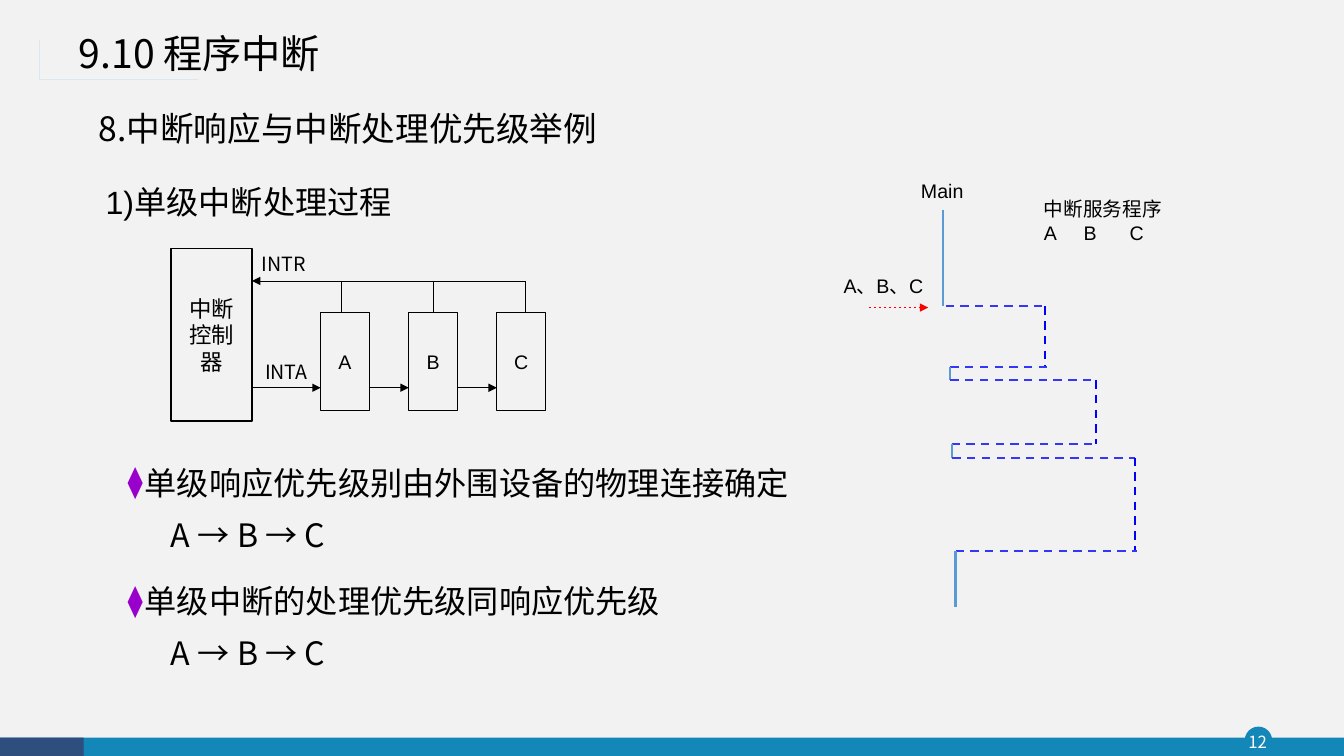
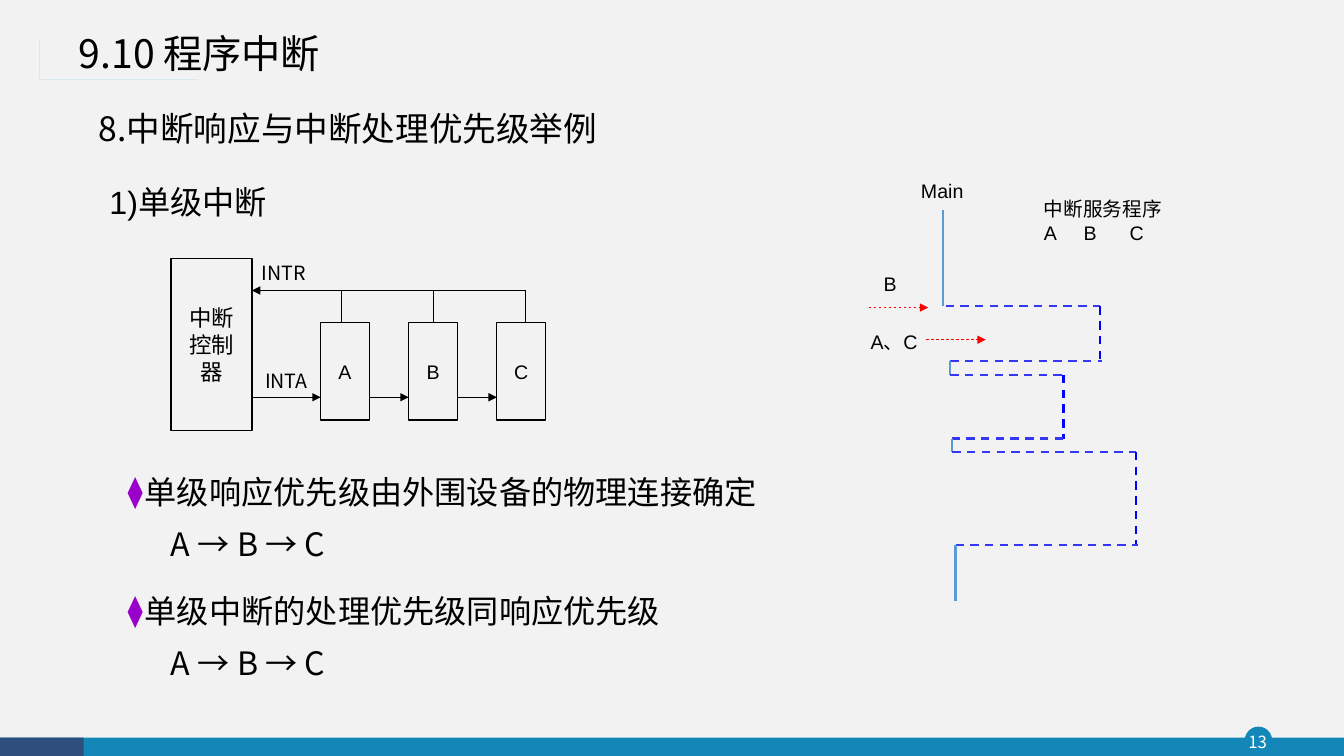
from dataclasses import dataclass

from lxml import etree
from pptx import Presentation
from pptx.dml.color import RGBColor
from pptx.enum.dml import MSO_LINE
from pptx.enum.shapes import MSO_CONNECTOR, MSO_SHAPE
from pptx.enum.text import MSO_ANCHOR, MSO_AUTO_SIZE, PP_ALIGN
from pptx.oxml.ns import qn
from pptx.util import Cm, Pt

STRAIGHT = MSO_CONNECTOR.STRAIGHT
RECTANGLE, OVAL = MSO_SHAPE.RECTANGLE, MSO_SHAPE.OVAL
DASH = MSO_LINE.DASH
LEFT, CENTER = PP_ALIGN.LEFT, PP_ALIGN.CENTER
TOP, MIDDLE = MSO_ANCHOR.TOP, MSO_ANCHOR.MIDDLE
NO_AUTOFIT = MSO_AUTO_SIZE.NONE
TITLE_ONLY = 5


@dataclass(frozen=True)
class TextStyle:
    """Font, size and colour of a kind of text."""
    font: str
    size: float
    color: str = "000000"
    east_asian: str = "Noto Sans CJK SC"


@dataclass(frozen=True)
class Theme:
    """Colours and type styles that the slides share."""
    background: str = "F2F2F2"
    band: str = "1387B7"
    corner: str = "2E4E7E"
    accent: str = "28A9D6"
    ink: str = "000000"
    diamond: str = "9900CC"
    main_flow: str = "5B9BD5"
    jump: str = "3438F6"
    service: str = "0000FF"
    request: str = "FF0000"
    title: TextStyle = TextStyle("Noto Sans CJK SC", 28)
    heading: TextStyle = TextStyle("Noto Sans CJK JP", 24, east_asian="Noto Sans CJK JP")
    subheading: TextStyle = TextStyle("Arial", 23)
    body: TextStyle = TextStyle("Noto Sans CJK SC", 23)
    controller: TextStyle = TextStyle("Noto Sans CJK SC", 16)
    signal: TextStyle = TextStyle("Noto Sans CJK SC", 14)
    label: TextStyle = TextStyle("Arial", 14)
    number: TextStyle = TextStyle("Noto Sans CJK SC", 12, "FFFFFF")


@dataclass(frozen=True)
class Detour:
    """One interrupt service, from leaving the main flow to returning."""
    enter_x: float
    service_x: float
    exit_x: float
    top: float
    bottom: float


@dataclass(frozen=True)
class Request:
    """A labelled request arrow; label is left, top, width."""
    text: str
    label: tuple
    arrow: tuple


@dataclass(frozen=True)
class Example:
    """What differs from slide to slide."""
    number: int
    subheading: str
    subheading_left: float
    diagram_top: float
    first_point: str
    requests: tuple
    detours: tuple
    end: float


THEME = Theme()
EXAMPLES = (
    Example(12, "1)单级中断处理过程", 2.41, 6.27, "单级响应优先级别由外围设备的物理连接确定",
            (Request("A、B、C", (21.01, 6.78, 2.57), (21.89, 7.75)),),
            (Detour(23.83, 26.34, 23.95, 7.72, 9.25),
             Detour(23.95, 27.61, 23.98, 9.58, 11.18),
             Detour(24, 28.6, 24.08, 11.53, 13.89)), 15.29),
    Example(13, "1)单级中断", 2.51, 6.51, "单级响应优先级由外围设备的物理连接确定",
            (Request("B", (22.02, 6.73, 1.07), (21.89, 7.75)),
             Request("A、C", (21.69, 8.2, 2.57), (23.34, 8.56))),
            (Detour(23.83, 27.71, 23.95, 7.72, 9.1),
             Detour(23.95, 26.8, 23.98, 9.45, 11.05),
             Detour(24, 28.62, 24.08, 11.39, 13.74)), 15.14),
)


def rgb(color):
    """Turn a hex string into a colour."""
    return RGBColor.from_string(color)


def add_element(parent, tag, **attributes):
    """Append a drawing element with attributes."""
    return etree.SubElement(parent, qn(tag), attributes)


def style_paragraph(para, style, align=LEFT, spacing=None):
    """Set alignment, line spacing and font of a paragraph."""
    para.alignment = align
    if spacing:
        para.line_spacing = spacing
    font = para.font
    font.size, font.name = Pt(style.size), style.font
    font.color.rgb = rgb(style.color)
    defaults = para._p.get_or_add_pPr().find(qn("a:defRPr"))
    add_element(defaults, "a:ea", typeface=style.east_asian)


def add_text(page, lines, place, style, align=LEFT, anchor=TOP, spacing=None, prepare=None, inset=True):
    """Add a text box with one paragraph per line."""
    box = page.shapes.add_textbox(*map(Cm, place))
    frame = box.text_frame
    frame.word_wrap = True
    frame.vertical_anchor = anchor
    if not inset:
        frame.margin_left = frame.margin_right = frame.margin_top = frame.margin_bottom = 0
    for index, line in enumerate(lines):
        para = frame.add_paragraph() if index else frame.paragraphs[0]
        para.text = line
        if prepare:
            prepare(para, index)
        style_paragraph(para, style, align, spacing)


def indent_point(para, index):
    """Give the first line a diamond and indent the line below it."""
    properties = para._p.get_or_add_pPr()
    if index:
        properties.set("marL", str(Cm(1.09)))
        return
    properties.set("marL", str(Cm(0.43)))
    properties.set("indent", str(Cm(-0.43)))
    add_element(add_element(properties, "a:buClr"), "a:srgbClr", val=THEME.diamond)
    add_element(properties, "a:buSzPct", val="96000")
    add_element(properties, "a:buFont", typeface="Arial")
    add_element(properties, "a:buChar", char="⧫")


def set_service_tabs(para, index):
    """Set the tab stops of the service columns."""
    if index:
        tabs = add_element(para._p.get_or_add_pPr(), "a:tabLst")
        for stop in (1, 2.16):
            add_element(tabs, "a:tab", pos=str(Cm(stop)), algn="l")


def add_line(page, start, end, color, width, dashed=False, arrow=False):
    """Add a straight line, dashed or with an arrowhead if asked."""
    line = page.shapes.add_connector(STRAIGHT, *map(Cm, (*start, *end)))
    line.line.color.rgb = rgb(color)
    line.line.width = Pt(width)
    if dashed:
        line.line.dash_style = DASH
    properties = line.element.spPr
    if arrow:
        add_element(properties.find(qn("a:ln")), "a:tailEnd", type="triangle")
    add_element(properties, "a:effectLst")


def fill_shape(shape, color):
    """Give a shape a plain fill without line or shadow."""
    shape.shadow.inherit = False
    shape.fill.solid()
    shape.fill.fore_color.rgb = rgb(color)
    shape.line.fill.background()
    return shape


def add_block(page, text, place, style):
    """Add an outlined block of the diagram."""
    block = page.shapes.add_shape(RECTANGLE, *map(Cm, place))
    block.shadow.inherit = False
    block.fill.background()
    block.line.color.rgb = rgb(THEME.ink)
    block.line.width = Pt(1)
    frame = block.text_frame
    frame.word_wrap = True
    frame.vertical_anchor = MIDDLE
    frame.text = text
    style_paragraph(frame.paragraphs[0], style, CENTER)


def decorate_layout(layout, page):
    """Put background, footer bands and title mark on the layout."""
    layout.background.fill.solid()
    layout.background.fill.fore_color.rgb = rgb(THEME.background)
    bands = ((OVAL, (31.37, 18.31, 0.69, 0.69), THEME.band),
             (RECTANGLE, (0, 18.59, 33.87, 0.46), THEME.band),
             (RECTANGLE, (0, 18.59, 2.11, 0.46), THEME.corner))
    shapes = [fill_shape(page.shapes.add_shape(kind, *map(Cm, place)), color)
              for kind, place, color in bands]
    outline = page.shapes.build_freeform(1.36, 1, scale=Cm(1))
    outline.add_line_segments(
        [(1.36, 2.17), (4.76, 2.17), (4.76, 2.2), (1.32, 2.2), (1.32, 1.03), (1.19, 1.03),
         (1.19, 2.2), (0.92, 2.2), (0.92, 1), (1, 1), (1, 2.13), (1.12, 2.13), (1.12, 1)])
    shapes.append(fill_shape(outline.convert_to_shape(), THEME.accent))
    for shape in shapes:
        layout.shapes.element.append(shape.element)


def set_title(page, text):
    """Place and format the title placeholder."""
    title = page.shapes.title
    title.left, title.top, title.width, title.height = map(Cm, (1.73, 0.53, 11.4, 1.73))
    frame = title.text_frame
    frame.text = text
    frame.auto_size = NO_AUTOFIT
    frame.vertical_anchor = MIDDLE
    style_paragraph(frame.paragraphs[0], THEME.title, spacing=0.9)


def draw_controller(page, top):
    """Draw the interrupt controller and its chain of devices."""
    left, width, device_width = 4.31, 2.04, 1.23
    bus, device_top, acknowledge = top + 0.81, top + 1.61, top + 3.5
    right = left + width
    add_block(page, "中断控制器", (left, top, width, 4.34), THEME.controller)
    add_line(page, (13.23, bus), (right, bus), THEME.ink, 0.5, arrow=True)
    source = right
    for index, name in enumerate("ABC"):
        device, drop = 8.08 + 2.22 * index, 8.59 + 2.32 * index
        add_block(page, name, (device, device_top, device_width, 2.47), THEME.label)
        add_line(page, (drop, bus), (drop, device_top), THEME.ink, 0.5)
        add_line(page, (source, acknowledge), (device, acknowledge), THEME.ink, 0.5, arrow=True)
        source = device + device_width
    add_text(page, ["INTR"], (right, top - 0.05, 1.96, 0.86), THEME.signal)
    add_text(page, ["INTA"], (6.43, top + 2.67, 1.96, 0.86), THEME.signal)


def draw_timeline(page, example):
    """Draw the main flow, the requests and the services they start."""
    add_text(page, ["Main"], (22.96, 4.39, 1.6, 0.86), THEME.label)
    add_text(page, ["中断服务程序", "A\tB\tC"], (26.06, 4.85, 3.94, 1.45), THEME.label,
             prepare=set_service_tabs)
    add_line(page, (23.77, 5.28), (23.77, 7.72), THEME.main_flow, 1.5)
    for request in example.requests:
        add_text(page, [request.text], (*request.label, 0.88), THEME.label)
        x, y = request.arrow
        add_line(page, (x, y), (x + 1.5, y), THEME.request, 0.5, dashed=True, arrow=True)
    resumes = [detour.top for detour in example.detours[1:]] + [example.end]
    for detour, resume in zip(example.detours, resumes):
        top, bottom, x = detour.top, detour.bottom, detour.service_x
        add_line(page, (detour.enter_x, top), (x, top), THEME.jump, 1.5, dashed=True)
        add_line(page, (x, top), (x, bottom), THEME.service, 1.5, dashed=True)
        add_line(page, (detour.exit_x, bottom), (x + 0.05, bottom), THEME.jump, 1.5, dashed=True)
        add_line(page, (detour.exit_x, bottom), (detour.exit_x, resume), THEME.main_flow, 1.5)


def fill_page(page, example):
    """Fill one slide with its example."""
    set_title(page, "9.10 程序中断")
    add_text(page, [str(example.number)], (31.29, 18.31, 0.81, 0.79), THEME.number,
             CENTER, MIDDLE, inset=False)
    add_text(page, ["8.中断响应与中断处理优先级举例"], (2.24, 2.59, 14.8, 1.27), THEME.heading)
    add_text(page, [example.subheading], (example.subheading_left, 4.47, 8.5, 1.24), THEME.subheading)
    draw_controller(page, example.diagram_top)
    points = (example.first_point, "单级中断的处理优先级同响应优先级")
    for index, point in enumerate(points):
        add_text(page, [point, "A → B → C"], (2.97, example.diagram_top + 4.93 + 2.99 * index, 18, 2.92),
                 THEME.body, spacing=1.35, prepare=indent_point)
    draw_timeline(page, example)


def main():
    """Build the deck and save it."""
    deck = Presentation()
    deck.slide_width, deck.slide_height = Cm(33.87), Cm(19.05)
    layout = deck.slide_layouts[TITLE_ONLY]
    pages = [deck.slides.add_slide(layout) for _ in EXAMPLES]
    decorate_layout(layout, pages[0])
    for page, example in zip(pages, EXAMPLES):
        fill_page(page, example)
    deck.save("out.pptx")


if __name__ == "__main__":
    main()
